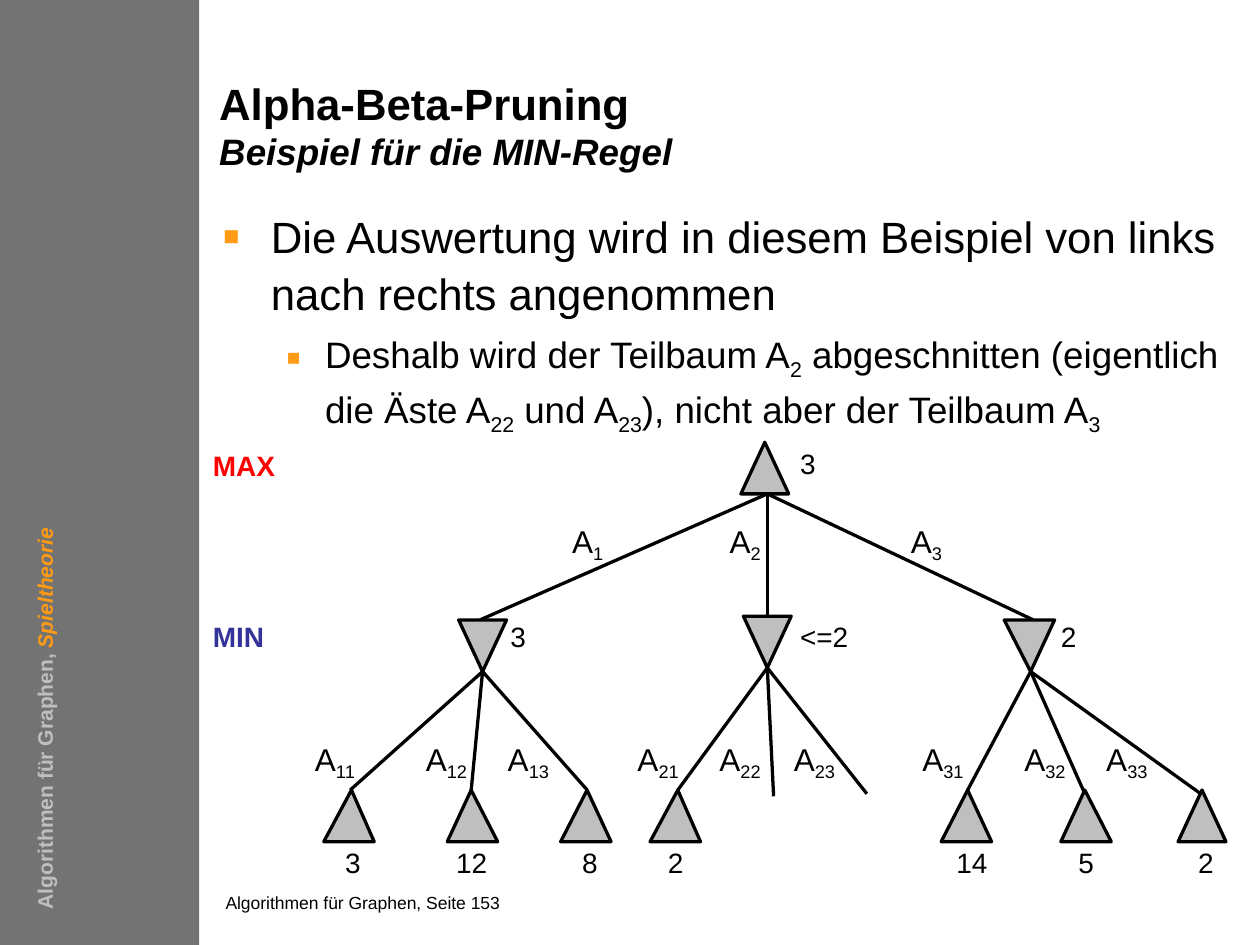
from dataclasses import dataclass
from typing import NamedTuple

from lxml.etree import SubElement
from pptx import Presentation
from pptx.dml.color import RGBColor
from pptx.enum.shapes import MSO_CONNECTOR as Connector, MSO_SHAPE as Shape
from pptx.enum.text import MSO_AUTO_SIZE as AutoSize
from pptx.oxml.ns import qn
from pptx.util import Emu, Inches, Pt

COLUMNS, ROWS = 100, 75
WIDTH, HEIGHT = Inches(10), Inches(7.5)


@dataclass(frozen=True)
class Theme:
    font: str = "Arial"
    ink: str = "000000"
    band: str = "737373"
    node: str = "BFBFBF"
    accent: str = "FF9B14"
    maximum: str = "FF0000"
    minimum: str = "333399"
    heading: float = 25
    subheading: float = 21
    branch: float = 18
    value: float = 16
    sidebar: float = 12
    footer: float = 10
    stroke: float = 1.88


class Area(NamedTuple):
    left: float
    top: float
    width: float
    height: float


class Node(NamedTuple):
    left: float
    width: float
    apex: float
    top: float
    upward: bool = True


class Edge(NamedTuple):
    start: tuple[float, float]
    end: tuple[float, float]


class Label(NamedTuple):
    text: str
    left: float
    top: float
    width: float


class Bullet(NamedTuple):
    text: str
    size: float
    margin: float
    hanging: float


THEME = Theme()
NODE_HEIGHT = 4.1
LEAF_TOP, VALUE_TOP, MIN_TOP = 62.7, 67.1, 49.2
ROOT_FOOT = (60.9, 39.2)
LEFT_FOOT, MIDDLE_FOOT, RIGHT_FOOT = (38.3, 53.3), (60.9, 53), (81.8, 53.3)

NODES = [
    Node(58.8, 3.8, 60.7, 35.1),
    Node(36.4, 3.8, 38.3, MIN_TOP, False),
    Node(59, 3.8, 60.9, 48.9, False),
    Node(79.7, 4, 81.8, MIN_TOP, False),
    *(Node(left, 4, apex, LEAF_TOP) for left, apex in [
        (25.7, 27.9), (35.5, 37.4), (44.5, 46.6), (51.6, 53.8), (74.7, 76.8), (84.2, 86.1)]),
    Node(93.5, 3.8, 95.4, LEAF_TOP),
]
FANS = {
    ROOT_FOOT: [(38.1, 49.2), (60.9, 49.2), (82, 49.2)],
    LEFT_FOOT: [(27.8, 62.7), (37.4, 62.7), (46.6, 62.7)],
    MIDDLE_FOOT: [(53.8, 62.7), (61.4, 63.2), (68.8, 63)],
    RIGHT_FOOT: [(76.8, 62.7), (86.1, 63), (95.3, 63)],
}
EDGES = [Edge(start, end) for start, ends in FANS.items() for end in ends]
VALUES = [
    Label("3", 63.5, 35.4, 1.3),
    Label("3", 40.5, MIN_TOP, 1.3),
    Label("<=2", 63.5, MIN_TOP, 4.2),
    Label("2", 84.2, MIN_TOP, 1.3),
    *(Label(text, left, VALUE_TOP, 1.3 * len(text)) for text, left in [
        ("3", 27.4), ("12", 36.2), ("8", 46.2), ("2", 53), ("14", 75.9), ("5", 85.6), ("2", 95.1)]),
]
BRANCHES = [
    *(Label(f"A~{number}~", left, 41.4, 2.7)
      for number, left in enumerate([45.4, 57.9, 72.3], 1)),
    *(Label(f"A~{group}{number}~", left, 58.7, 3.6)
      for group, lefts in enumerate([(25, 33.8, 40.3), (50.6, 57.1, 63), (73.2, 81.3, 87.8)], 1)
      for number, left in enumerate(lefts, 1)),
]
BULLETS = [
    Bullet("Die Auswertung wird in diesem Beispiel von links nach rechts angenommen",
           THEME.heading, 3.8, 3.8),
    Bullet("Deshalb wird der Teilbaum A~2~ abgeschnitten (eigentlich die Äste A~22~ und A~23~), "
           "nicht aber der Teilbaum A~3~", THEME.subheading, 8.1, 3.1),
]


def across(columns: float) -> Emu:
    return Emu(round(WIDTH * columns / COLUMNS))


def down(rows: float) -> Emu:
    return Emu(round(HEIGHT * rows / ROWS))


def color(value: str) -> RGBColor:
    return RGBColor.from_string(value)


def style(font, size: float, ink: str = THEME.ink, bold: bool = False) -> None:
    font.name, font.size, font.bold = THEME.font, Pt(size), bold
    font.color.rgb = color(ink)


def add_spans(para, text: str) -> None:
    for index, piece in enumerate(text.split("~")):
        if piece:
            span = para.add_run()
            span.text = piece
            if index % 2:
                span.font._element.set("baseline", "-25000")


def add_box(page, area: Area, wrap: bool = True, inset: float = 0):
    box = page.shapes.add_textbox(across(area.left), down(area.top),
                                  across(area.width), down(area.height))
    frame = box.text_frame
    frame.word_wrap = wrap
    frame.margin_left = frame.margin_right = across(inset)
    frame.margin_top = frame.margin_bottom = down(inset / 2)
    return box


def add_label(page, label: Label, size: float, ink: str = THEME.ink, bold: bool = False) -> None:
    area = Area(label.left, label.top, label.width, size / 6)
    frame = add_box(page, area, wrap=False).text_frame
    frame.auto_size = AutoSize.SHAPE_TO_FIT_TEXT
    para = frame.paragraphs[0]
    style(para.font, size, ink, bold)
    add_spans(para, label.text)


def add_title(page) -> None:
    para = add_box(page, Area(17.4, 6.7, 51, 7.5)).text_frame.paragraphs[0]
    para.line_spacing = Pt(25.4)
    style(para.font, THEME.heading, bold=True)
    add_spans(para, "Alpha-Beta-Pruning")
    para.add_line_break()
    subtitle = para.add_run()
    subtitle.text = "Beispiel für die MIN-Regel"
    subtitle.font.size, subtitle.font.italic = Pt(THEME.subheading), True


def add_bullets(page) -> None:
    frame = add_box(page, Area(17.7, 16.2, 80.7, 22)).text_frame
    for level, bullet in enumerate(BULLETS):
        para = frame.add_paragraph() if level else frame.paragraphs[0]
        para.level, para.line_spacing = level, 1.1
        if level:
            para.space_before = Pt(bullet.size * 0.2)
        properties = para._p.get_or_add_pPr()
        properties.set("marL", str(across(bullet.margin)))
        properties.set("indent", str(-across(bullet.hanging)))
        SubElement(SubElement(properties, qn("a:buClr")), qn("a:srgbClr"), val=THEME.accent)
        SubElement(properties, qn("a:buSzPct"), val="120000")
        SubElement(properties, qn("a:buFont"), typeface=THEME.font)
        SubElement(properties, qn("a:buChar"), char="▪")
        style(para.font, bullet.size)
        add_spans(para, bullet.text)


def add_sidebar(page) -> None:
    band = page.shapes.add_shape(Shape.RECTANGLE, 0, 0, across(15.8), HEIGHT)
    band.shadow.inherit = False
    band.fill.solid()
    band.fill.fore_color.rgb = color(THEME.band)
    band.line.fill.background()
    box = add_box(page, Area(-19.8, 48.3, 46.7, 3), inset=1)
    box.rotation = 270
    para = box.text_frame.paragraphs[0]
    style(para.font, THEME.sidebar, THEME.node, bold=True)
    add_spans(para, "Algorithmen für Graphen, ")
    topic = para.add_run()
    topic.text = "Spieltheorie"
    topic.font.italic = True
    topic.font.color.rgb = color(THEME.accent)


def add_edge(page, edge: Edge) -> None:
    (start_x, start_y), (end_x, end_y) = edge
    line = page.shapes.add_connector(Connector.STRAIGHT, across(start_x), down(start_y),
                                     across(end_x), down(end_y))
    line.line.color.rgb = color(THEME.ink)
    line.line.width = Pt(THEME.stroke)
    SubElement(line._element.spPr, qn("a:effectLst"))


def add_node(page, node: Node) -> None:
    bottom = node.top + NODE_HEIGHT
    tip, base = (node.top, bottom) if node.upward else (bottom, node.top)
    outline = page.shapes.build_freeform(across(node.apex), down(tip))
    outline.add_line_segments([(across(node.left + node.width), down(base)),
                               (across(node.left), down(base))], close=True)
    triangle = outline.convert_to_shape()
    triangle.shadow.inherit = False
    triangle.fill.solid()
    triangle.fill.fore_color.rgb = color(THEME.node)
    triangle.line.color.rgb = color(THEME.ink)
    triangle.line.width = Pt(THEME.stroke)


def main() -> None:
    deck = Presentation()
    deck.slide_width, deck.slide_height = WIDTH, HEIGHT
    page = deck.slides.add_slide(deck.slide_layouts[6])
    add_sidebar(page)
    add_title(page)
    add_bullets(page)
    for edge in EDGES:
        add_edge(page, edge)
    for node in NODES:
        add_node(page, node)
    for value in VALUES:
        add_label(page, value, THEME.value)
    for branch in BRANCHES:
        add_label(page, branch, THEME.branch)
    add_label(page, Label("MAX", 16.9, 35.6, 5.3), THEME.value, THEME.maximum, bold=True)
    add_label(page, Label("MIN", 16.9, MIN_TOP, 4.4), THEME.value, THEME.minimum, bold=True)
    add_label(page, Label("Algorithmen für Graphen, Seite 153", 17.9, 70.8, 22), THEME.footer)
    deck.save("out.pptx")


if __name__ == "__main__":
    main()
